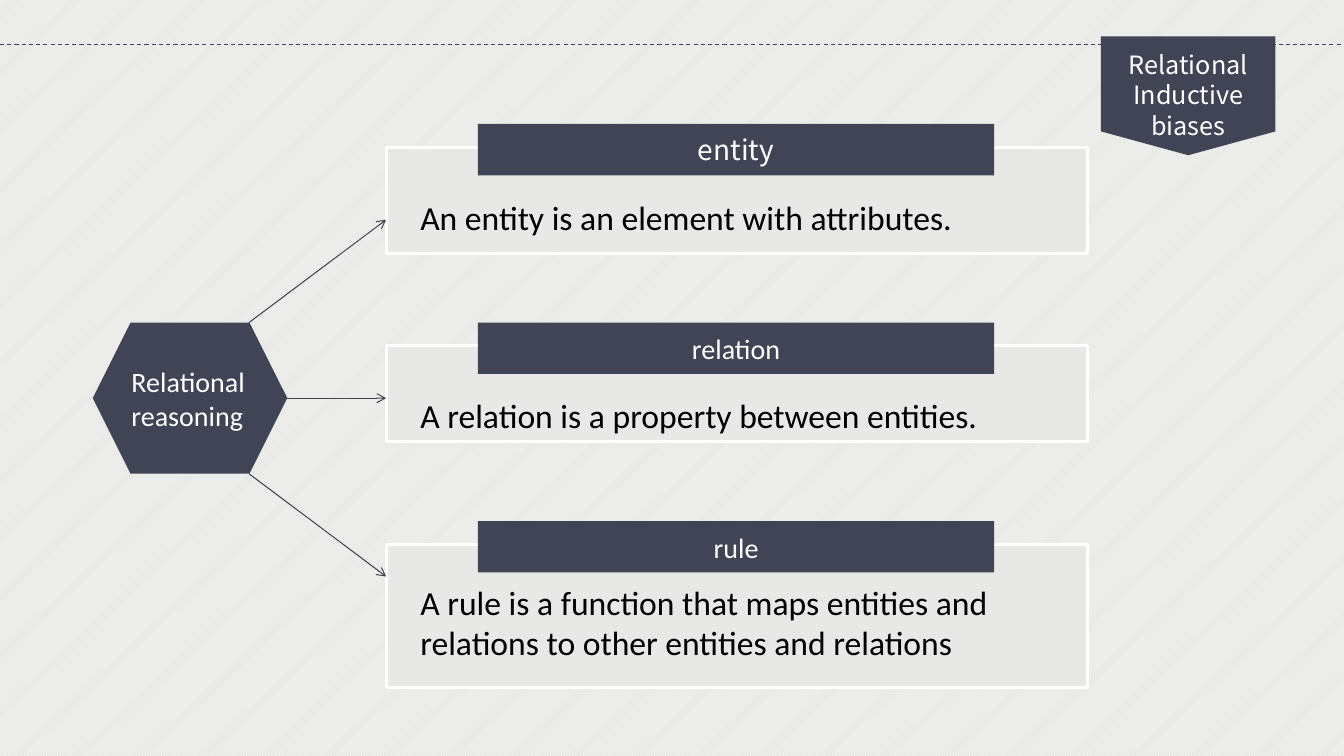
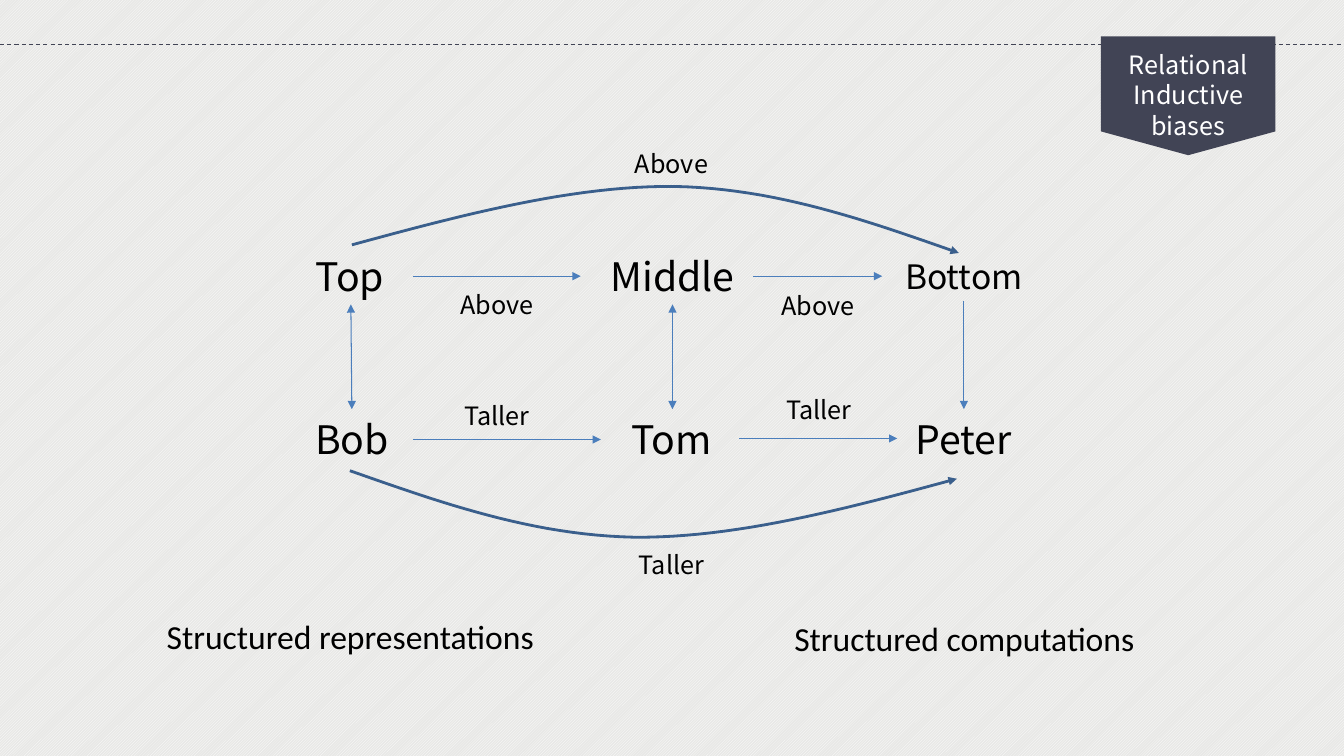
from lxml.etree import SubElement
from pptx import Presentation
from pptx.dml.color import RGBColor
from pptx.enum.dml import MSO_LINE, MSO_PATTERN
from pptx.enum.shapes import MSO_CONNECTOR, MSO_SHAPE
from pptx.enum.text import MSO_ANCHOR, PP_ALIGN
from pptx.oxml.ns import qn
from pptx.util import Inches, Pt

NAVY, WHITE, BLACK, PAPER = "414455", "FFFFFF", "000000", "E8E8E6"
BLUE, STEEL = "4B7EBC", "3A5F8C"
SANS, BODY = "Noto Sans CJK SC", "Calibri"
LEFT, MID = PP_ALIGN.LEFT, PP_ALIGN.CENTER


def rgb(code):
    return RGBColor.from_string(code)


# Text
def write(shape, lines, size, font, color=BLACK, align=MID,
          anchor=MSO_ANCHOR.MIDDLE, space=None):
    frame = shape.text_frame
    frame.word_wrap = True
    frame.vertical_anchor = anchor
    for i, line in enumerate(lines):
        para = frame.add_paragraph() if i else frame.paragraphs[0]
        para.alignment = align
        if space:
            para.line_spacing = space
        run = para.add_run()
        run.text = line
        run.font.size = Pt(size)
        run.font.name = font
        run.font.color.rgb = rgb(color)


def label(slide, box, lines, size, font, **style):
    area = slide.shapes.add_textbox(*map(Inches, box))
    write(area, lines, size, font, **style)


# Shapes and lines
def block(slide, kind, box, fill, edge=None):
    shape = slide.shapes.add_shape(kind, *map(Inches, box))
    shape.shadow.inherit = False
    shape.fill.solid()
    shape.fill.fore_color.rgb = rgb(fill)
    if edge:
        shape.line.color.rgb = rgb(edge)
        shape.line.width = Pt(2)
    else:
        shape.line.fill.background()
    return shape


def stroke(shape, color, width, head=None, tail=None):
    shape.line.color.rgb = rgb(color)
    shape.line.width = Pt(width)
    ln = shape.element.spPr.find(qn("a:ln"))
    for tag, kind in (("a:headEnd", head), ("a:tailEnd", tail)):
        if kind:
            SubElement(ln, qn(tag), type=kind)


def link(slide, start, end, color, **tips):
    line = slide.shapes.add_connector(
        MSO_CONNECTOR.STRAIGHT, *map(Inches, (*start, *end)))
    stroke(line, color, 0.75, **tips)
    SubElement(line.element.spPr, qn("a:effectLst"))
    return line


def bezier(a, b, c, d, t):
    u = 1 - t
    return tuple(
        u**3 * p + 3 * u * u * t * q + 3 * u * t * t * r + t**3 * s
        for p, q, r, s in zip(a, b, c, d))


def curve(slide, knots, **tips):
    steps = 24
    dots = [knots[0]]
    for i in range(0, len(knots) - 1, 3):
        dots += [bezier(*knots[i:i + 4], n / steps)
                 for n in range(1, steps + 1)]
    dots = [(Inches(x), Inches(y)) for x, y in dots]
    pen = slide.shapes.build_freeform(*dots[0])
    pen.add_line_segments(dots[1:], close=False)
    arc = pen.convert_to_shape()
    arc.shadow.inherit = False
    arc.fill.background()
    stroke(arc, STEEL, 2, **tips)


# Shared frame: dashed rule and section badge
def add_page(deck):
    slide = deck.slides.add_slide(deck.slide_layouts[6])
    rule = link(slide, (0, 0.44), (13.33, 0.44), NAVY)
    rule.line.dash_style = MSO_LINE.DASH
    block(slide, MSO_SHAPE.FLOWCHART_OFFPAGE_CONNECTOR,
          (10.92, 0.36, 1.73, 1.18), NAVY)
    label(slide, (10.98, 0.43, 1.61, 1.01),
          ["Relational", "Inductive", "biases"], 18, SANS, color=WHITE,
          anchor=MSO_ANCHOR.TOP, space=Pt(22))
    return slide


def reasoning(deck):
    slide = add_page(deck)
    hexa = block(slide, MSO_SHAPE.HEXAGON, (0.92, 3.2, 1.93, 1.5), NAVY)
    write(hexa, ["Relational reasoning"], 20, BODY, WHITE, LEFT)

    # Term cards: name, font, panel height, meaning, line spacing
    cards = [
        ("entity", SANS, 1.06,
         "An entity is an element with attributes.", 1.3),
        ("relation", BODY, 0.95,
         "A relation is a property between entities.", 1.3),
        ("rule", BODY, 1.42, "A rule is a function that maps entities and "
         "relations to other entities and relations", None),
    ]
    for i, (name, font, height, text, space) in enumerate(cards):
        top = 1.23 + 1.97 * i
        block(slide, MSO_SHAPE.RECTANGLE, (3.83, top + 0.23, 6.96, height),
              PAPER, WHITE)
        bar = block(slide, MSO_SHAPE.RECTANGLE, (4.74, top, 5.12, 0.51), NAVY)
        write(bar, [name], 20, font, WHITE)
        label(slide, (4.07, top + 0.55, 6.61, 0.58), [text], 24, BODY,
              align=LEFT, anchor=MSO_ANCHOR.TOP, space=space)

    # Arrows from the hexagon to the cards
    for start, y in (((2.47, 3.2), 2.18), ((2.85, 3.95), 3.95),
                     ((2.47, 4.7), 5.72)):
        link(slide, start, (3.83, y), NAVY, tail="arrow")


def analogy(deck):
    slide = add_page(deck)

    # Nodes and relation names: text, centre, size
    words = [
        ("Top", 3.47, 2.74, 28), ("Middle", 6.67, 2.74, 28),
        ("Bottom", 9.56, 2.74, 24),
        ("Bob", 3.49, 4.35, 28), ("Tom", 6.66, 4.35, 28),
        ("Peter", 9.56, 4.35, 28),
        ("Above", 6.66, 1.62, 18), ("Above", 4.93, 3.02, 18),
        ("Above", 8.11, 3.03, 18),
        ("Taller", 4.93, 4.12, 18), ("Taller", 8.12, 4.06, 18),
        ("Taller", 6.66, 5.6, 18),
    ]
    wide, high = 1.7, 0.5
    for text, x, y, size in words:
        label(slide, (x - wide / 2, y - high / 2, wide, high),
              [text], size, SANS)

    # Straight arrows, the first two pointing both ways
    for start, end in (((3.48, 3.02), (3.49, 4.06)),
                       ((6.67, 3.02), (6.67, 4.06))):
        link(slide, start, end, BLUE, head="triangle", tail="triangle")
    for start, end in (((9.56, 2.99), (9.56, 4.06)),
                       ((4.1, 2.74), (5.76, 2.74)),
                       ((7.47, 2.74), (8.75, 2.74)),
                       ((4.1, 4.36), (5.96, 4.36)),
                       ((7.33, 4.35), (8.9, 4.35))):
        link(slide, start, end, BLUE, tail="triangle")

    # Upper arc, and the same arc turned half round
    arc = [(3.49, 2.43), (4.59, 2.13), (5.69, 1.84), (6.69, 1.85),
           (7.7, 1.87), (8.6, 2.19), (9.51, 2.51)]
    curve(slide, arc, tail="triangle")
    curve(slide, [(12.98 - x, 7.18 - y) for x, y in arc], head="triangle")

    # Captions
    for text, x, y in (("Structured representations", 1.46, 6.06),
                       ("Structured computations", 7.55, 6.08)):
        label(slide, (x, y, 4.03, 0.5), [text], 24, BODY)


def main():
    deck = Presentation()
    deck.slide_width, deck.slide_height = Inches(13.33), Inches(7.5)
    paper = deck.slide_master.background.fill
    paper.patterned()
    paper.pattern = MSO_PATTERN.LIGHT_UPWARD_DIAGONAL
    paper.fore_color.rgb = rgb(WHITE)
    paper.back_color.rgb = rgb(PAPER)
    reasoning(deck)
    analogy(deck)
    deck.save("out.pptx")


if __name__ == "__main__":
    main()
